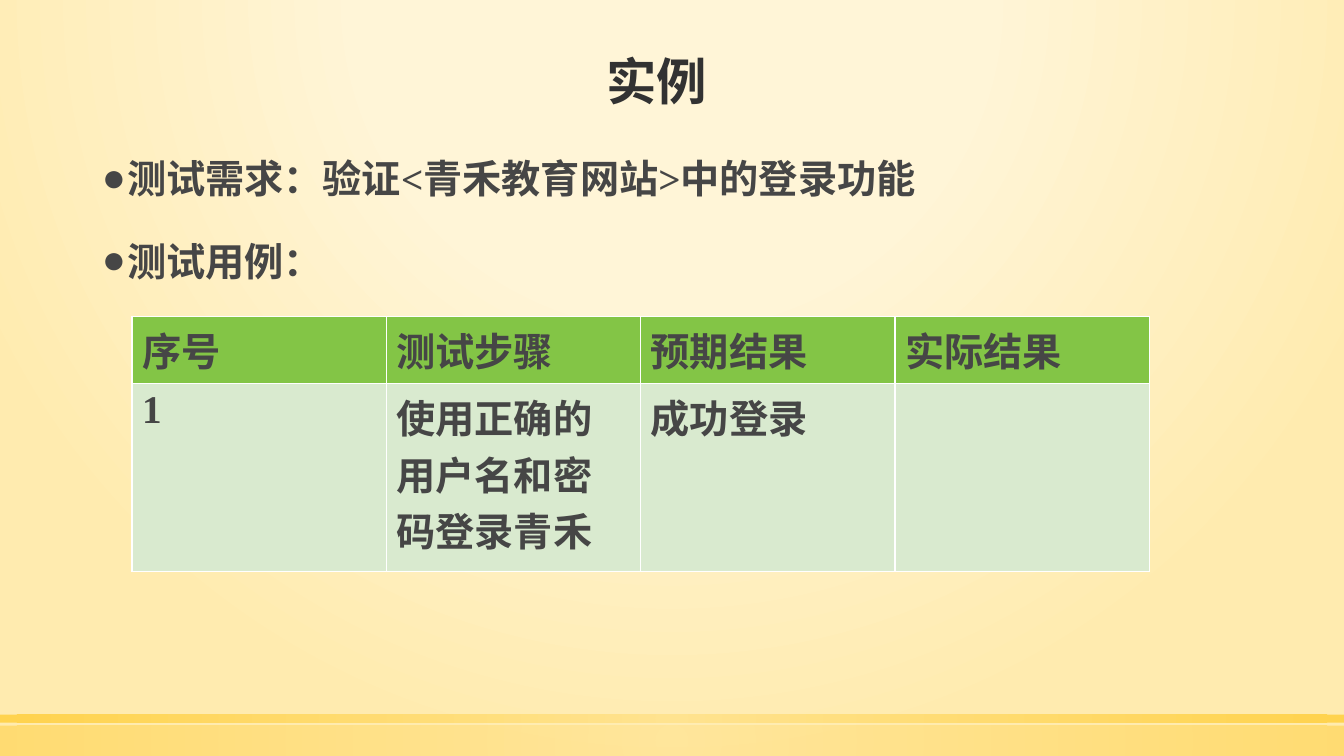
from lxml.etree import SubElement
from pptx import Presentation
from pptx.dml.color import RGBColor
from pptx.enum.shapes import MSO_SHAPE
from pptx.enum.text import MSO_ANCHOR, MSO_AUTO_SIZE, PP_ALIGN
from pptx.oxml.ns import qn
from pptx.util import Inches, Pt

THEME = {
    "font": "Times New Roman",
    "title_size": Pt(36), "text_size": Pt(28),
    "title": RGBColor.from_string("323232"),
    "text": RGBColor.from_string("464646"),
    "header": RGBColor.from_string("83C546"),
    "row": RGBColor.from_string("D9EACF"),
    "border": "FFFFFF",
    "glow": [(0, "FFF5D7", 59), (40, "FFF5D7", 66), (100, "FFEBAF", 100)],
    "band": ["FFE186", "FFCD36"],
}


def format_span(span, size, color):
    values = {"name": THEME["font"], "size": size, "bold": True}
    for name, value in values.items():
        setattr(span.font, name, value)
    span.font.color.rgb = color


def fill_radial(fill, element, stops, top, bottom):
    fill.gradient()
    gradient = element.find(".//" + qn("a:gradFill"))
    for child in list(gradient):
        gradient.remove(child)
    stop_list = SubElement(gradient, qn("a:gsLst"))
    for position, color, opacity in stops:
        stop = SubElement(stop_list, qn("a:gs"), pos=str(position * 1000))
        tint = SubElement(stop, qn("a:srgbClr"), val=color)
        SubElement(tint, qn("a:alpha"), val=str(opacity * 1000))
    circle = SubElement(gradient, qn("a:path"), {"path": "circle"})
    SubElement(circle, qn("a:fillToRect"), l="50000", r="50000",
               t=str(top * 1000), b=str(bottom * 1000))


deck = Presentation()
deck.slide_width, deck.slide_height = Inches(13.33), Inches(7.5)
slide = deck.slides.add_slide(deck.slide_layouts[1])

# Background glow and bottom bands
fill_radial(slide.background.fill, slide.element, THEME["glow"], -80, 180)
for top, height, opacity in [(7.2, 0.3, 50), (7.09, 0.08, 80)]:
    band = slide.shapes.add_shape(MSO_SHAPE.RECTANGLE, 0, Inches(top),
                                  deck.slide_width, Inches(height))
    band.shadow.inherit = False
    band.line.fill.background()
    inner, outer = THEME["band"]
    stops = [(0, inner, opacity), (100, outer, opacity)]
    fill_radial(band.fill, band.element, stops, 50, 50)

# Title and body placeholders
title, body = slide.shapes.title, slide.placeholders[1]
for box, left, top, height, anchor in [
    (title, 0.83, 0.29, 0.87, MSO_ANCHOR.BOTTOM),
    (body, 0.86, 1.33, 5.25, MSO_ANCHOR.TOP),
]:
    box.left, box.top = Inches(left), Inches(top)
    box.width, box.height = Inches(11.37), Inches(height)
    frame_format = {"word_wrap": True, "auto_size": MSO_AUTO_SIZE.NONE,
                    "vertical_anchor": anchor}
    for name, value in frame_format.items():
        setattr(box.text_frame, name, value)

title.text_frame.text = "实例"
para = title.text_frame.paragraphs[0]
para.alignment, para.line_spacing = PP_ALIGN.CENTER, 0.9
format_span(para.runs[0], THEME["title_size"], THEME["title"])

# Bulleted list
body.text_frame.text = "测试需求：验证<青禾教育网站>中的登录功能\n测试用例："
for para in body.text_frame.paragraphs:
    para.line_spacing, para.space_before = 1.33, Pt(14)
    properties = para._p.get_or_add_pPr()
    properties.set("marL", str(Inches(0.3)))
    properties.set("indent", str(Inches(-0.25)))
    SubElement(properties, qn("a:buSzPct"), val="102000")
    SubElement(properties, qn("a:buFont"), typeface=THEME["font"])
    SubElement(properties, qn("a:buChar"), char="●")
    format_span(para.runs[0], THEME["text_size"], THEME["text"])

# Test case table
rows = [
    ["序号", "测试步骤", "预期结果", "实际结果"],
    ["1", "使用正确的用户名和密码登录青禾", "成功登录", ""],
]
table = slide.shapes.add_table(len(rows), len(rows[0]), Inches(1.31), Inches(3.14),
                               Inches(10.09), Inches(2.53)).table
for row, height in zip(table.rows, [0.66, 1.87]):
    row.height = Inches(height)
for row_index, texts in enumerate(rows):
    for column_index, text in enumerate(texts):
        cell = table.cell(row_index, column_index)
        properties = cell._tc.get_or_add_tcPr()
        for side in ["lnL", "lnR", "lnT", "lnB"]:
            line = SubElement(properties, qn("a:" + side), w=str(Pt(1)))
            SubElement(SubElement(line, qn("a:solidFill")), qn("a:srgbClr"),
                       val=THEME["border"])
        cell.fill.solid()
        cell.fill.fore_color.rgb = THEME["row" if row_index else "header"]
        para = cell.text_frame.paragraphs[0]
        if text:
            span = para.add_run()
            span.text = text
            format_span(span, THEME["text_size"], THEME["text"])

deck.save("out.pptx")
